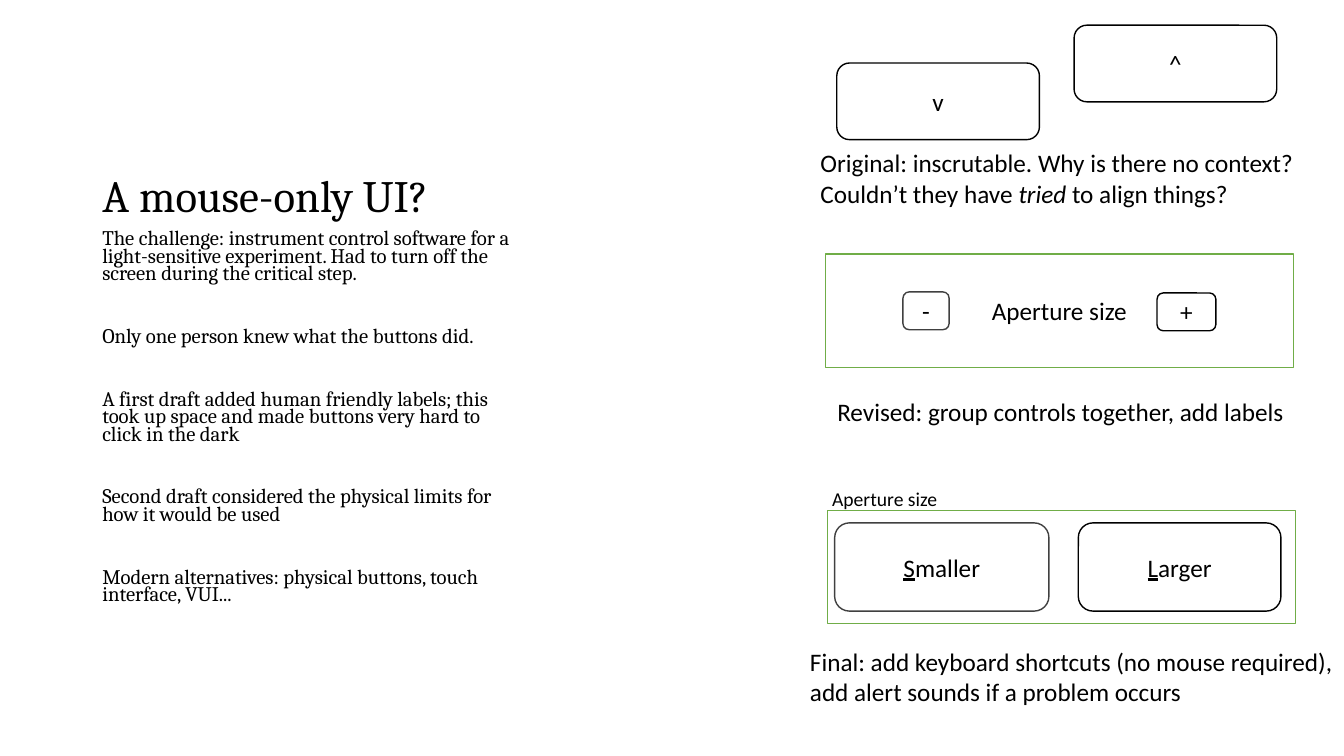
"""Build the slide on the redesign of a mouse-only interface."""
from pptx import Presentation
from pptx.dml.color import RGBColor
from pptx.enum.shapes import MSO_SHAPE
from pptx.enum.text import MSO_ANCHOR, MSO_AUTO_SIZE, PP_ALIGN
from pptx.util import Pt

PX = 9525
BLACK = RGBColor(0, 0, 0)
GREY = RGBColor(0x40, 0x40, 0x40)
GREEN = RGBColor(0x70, 0xAD, 0x47)
WHITE = RGBColor(255, 255, 255)


def write(para, runs, size=18, face="Calibri"):
    for text, style in runs:
        run = para.add_run()
        run.text = text
        font = run.font
        font.size, font.name = Pt(size), face
        font.color.rgb = BLACK
        if style == "i":
            font.italic = True
        elif style == "u":
            font.underline = True


def place(shape, box):
    shape.left, shape.top, shape.width, shape.height = [n * PX for n in box]


deck = Presentation()
deck.slide_width, deck.slide_height = 1280 * PX, 720 * PX
slide = deck.slides.add_slide(deck.slide_layouts[5])

title = slide.shapes.title
place(title, (88, 133, 413, 83))
frame = title.text_frame
frame.word_wrap = True
frame.auto_size = MSO_AUTO_SIZE.NONE
frame.vertical_anchor = MSO_ANCHOR.BOTTOM
para = frame.paragraphs[0]
para.alignment = PP_ALIGN.LEFT
para.line_spacing = 0.9
write(para, [("A mouse-only UI?", "")], 32, "Cambria")

story = [
    "The challenge: instrument control software for a light-sensitive experiment. "
    "Had to turn off the screen during the critical step.",
    "Only one person knew what the buttons did.",
    "A first draft added human friendly labels; this took up space "
    "and made buttons very hard to click in the dark",
    "Second draft considered the physical limits for how it would be used",
    "Modern alternatives: physical buttons, touch interface, VUI...",
]
body = slide.shapes.add_textbox(88 * PX, 216 * PX, 413 * PX, 400 * PX)
frame = body.text_frame
frame.word_wrap = True
for i, text in enumerate(story):
    para = frame.paragraphs[0] if i == 0 else frame.add_paragraph()
    para.line_spacing = 0.7
    para.space_before = Pt(32.5 if i else 0)
    write(para, [(text, "")], 14.8, "Cambria")

first = slide.shapes
draft = first.add_group_shape().shapes
final = first.add_group_shape().shapes

RECT, ROUND = MSO_SHAPE.RECTANGLE, MSO_SHAPE.ROUNDED_RECTANGLE
boxes = [
    (first, ROUND, (797, 60, 193, 73), BLACK, [("v", "")]),
    (first, ROUND, (1023, 24, 193, 73), BLACK, [("^", "")]),
    (draft, RECT, (786, 242, 446, 108), GREEN, [("Aperture size", "")]),
    (draft, ROUND, (860, 278, 44, 36), GREY, [("-", "")]),
    (draft, ROUND, (1102, 279, 56, 36), BLACK, [("+", "")]),
    (final, RECT, (788, 486, 446, 108), GREEN, []),
    (final, ROUND, (795, 498, 204, 84), GREY, [("S", "u"), ("maller", "")]),
    (final, ROUND, (1027, 498, 193, 84), BLACK, [("L", "u"), ("arger", "")]),
]
for group, kind, box, color, runs in boxes:
    shape = group.add_shape(kind, *[n * PX for n in box])
    shape.shadow.inherit = False
    shape.fill.solid()
    shape.fill.fore_color.rgb = WHITE
    shape.line.color.rgb = color
    shape.line.width = Pt(1)
    shape.text_frame.vertical_anchor = MSO_ANCHOR.MIDDLE
    para = shape.text_frame.paragraphs[0]
    para.alignment = PP_ALIGN.CENTER
    write(para, runs)

notes = [
    (first, (772, 136, 475, 68), 18, False, [
        [("Original: inscrutable. Why is there no context?", "")],
        [("Couldn’t they have ", ""), ("tried ", "i"), ("to align things?", "")]]),
    (draft, (788, 373, 450, 38), 18, False, [
        [("Revised: group controls together, add labels", "")]]),
    (final, (762, 611, 520, 68), 18, True, [
        [("Final: add keyboard shortcuts (no mouse required), "
          "add alert sounds if a problem occurs", "")]]),
    (final, (783, 459, 121, 33), 14, False, [[("Aperture size", "")]]),
]
for group, box, size, wrap, lines in notes:
    frame = group.add_textbox(*[n * PX for n in box]).text_frame
    frame.word_wrap = wrap
    frame.auto_size = MSO_AUTO_SIZE.SHAPE_TO_FIT_TEXT
    for i, runs in enumerate(lines):
        para = frame.paragraphs[0] if i == 0 else frame.add_paragraph()
        write(para, runs, size)

deck.save("out.pptx")
